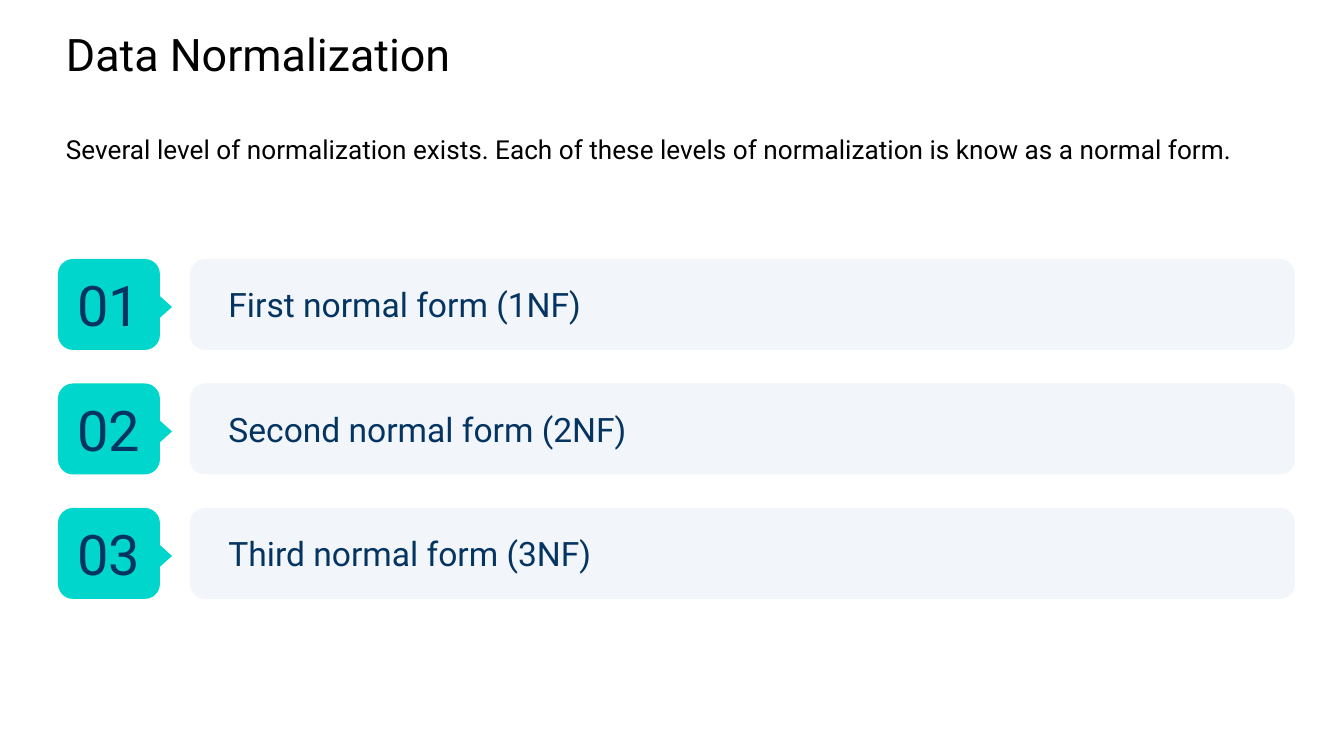
from dataclasses import dataclass

from pptx import Presentation
from pptx import util as u
from pptx.dml.color import RGBColor
from pptx.enum import shapes, text

TITLE = "Data Normalization"
INTRO = ("Several level of normalization exists. "
         "Each of these levels of normalization is know as a normal form.")
FORMS = [
    ("01", "First normal form (1NF)"),
    ("02", "Second normal form (2NF)"),
    ("03", "Third normal form (3NF)"),
]


@dataclass(frozen=True)
class Theme:
    font: str = "Roboto"
    black: str = "000000"
    navy: str = "043461"
    teal: str = "00D6CB"
    pale: str = "F2F5F9"
    title: int = 24
    intro: int = 14
    number: int = 30
    form: int = 18
    intro_gap: int = 28


THEME = Theme()
PX_PER_INCH = 134.4
FIRST_ROW, LAST_ROW, ROW_HEIGHT = 259, 508, 91
BADGE_LEFT, BADGE_WIDTH = 58, 102
BAR_LEFT, BAR_WIDTH = 190, 1105
POINTER_LEFT, POINTER_DROP, POINTER_WIDTH, POINTER_HEIGHT = 133, 34, 50, 28
PADDING, BAR_PADDING = 13, 34


def px(length):
    return u.Inches(length / PX_PER_INCH)


def set_insets(frame, left, top, right, bottom):
    frame.margin_left, frame.margin_top = px(left), px(top)
    frame.margin_right, frame.margin_bottom = px(right), px(bottom)
    frame.word_wrap = True


def format_runs(paragraph, size, color):
    for run in paragraph.runs:
        run.font.name = THEME.font
        run.font.size = u.Pt(size)
        run.font.color.rgb = RGBColor.from_string(color)


def add_filled(slide, kind, box, color):
    shape = slide.shapes.add_shape(kind, *map(px, box))
    shape.shadow.inherit = False
    shape.fill.solid()
    shape.fill.fore_color.rgb = RGBColor.from_string(color)
    shape.line.fill.background()
    return shape


def add_card(slide, box, color, label, size, align, left_padding):
    card = add_filled(slide, shapes.MSO_SHAPE.ROUNDED_RECTANGLE, box, color)
    card.adjustments[0] = 0.167
    frame = card.text_frame
    set_insets(frame, left_padding, PADDING, PADDING, PADDING)
    frame.vertical_anchor = text.MSO_ANCHOR.MIDDLE
    frame.text = label
    frame.paragraphs[0].alignment = align
    format_runs(frame.paragraphs[0], size, THEME.navy)


def add_heading(slide):
    heading = slide.shapes.add_textbox(px(-1), px(0), px(1348), px(81))
    frame = heading.text_frame
    set_insets(frame, 67, 27, 40, 13)
    frame.text = TITLE
    format_runs(frame.paragraphs[0], THEME.title, THEME.black)
    intro = frame.add_paragraph()
    intro.text = INTRO
    intro.space_before = u.Pt(THEME.intro_gap)
    format_runs(intro, THEME.intro, THEME.black)


def add_form(slide, top, number, name):
    add_card(slide, (BAR_LEFT, top, BAR_WIDTH, ROW_HEIGHT), THEME.pale,
             name, THEME.form, text.PP_ALIGN.LEFT, BAR_PADDING)
    add_card(slide, (BADGE_LEFT, top, BADGE_WIDTH, ROW_HEIGHT), THEME.teal,
             number, THEME.number, text.PP_ALIGN.CENTER, PADDING)
    pointer = add_filled(
        slide, shapes.MSO_SHAPE.FLOWCHART_EXTRACT,
        (POINTER_LEFT, top + POINTER_DROP, POINTER_WIDTH, POINTER_HEIGHT),
        THEME.teal)
    pointer.rotation = 90


def main():
    deck = Presentation()
    deck.slide_width, deck.slide_height = px(1344), px(756)
    slide = deck.slides.add_slide(deck.slide_layouts[6])
    add_heading(slide)
    pitch = (LAST_ROW - FIRST_ROW) / (len(FORMS) - 1)
    for row, (number, name) in enumerate(FORMS):
        add_form(slide, FIRST_ROW + row * pitch, number, name)
    deck.save("out.pptx")


if __name__ == "__main__":
    main()
